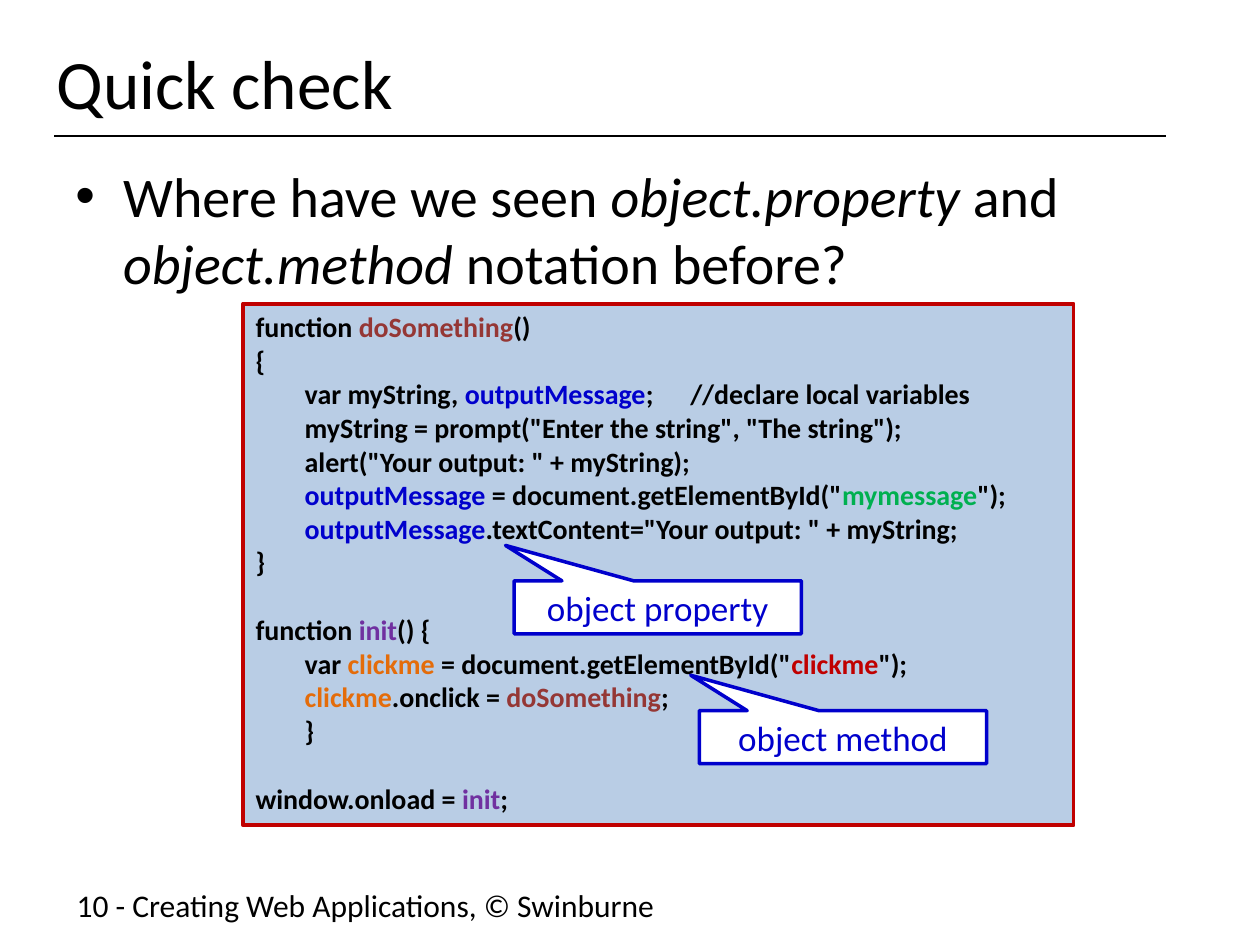
from dataclasses import dataclass

from lxml import etree
from pptx import Presentation
from pptx.dml.color import RGBColor
from pptx.enum.shapes import MSO_CONNECTOR, MSO_SHAPE
from pptx.enum.text import MSO_ANCHOR, PP_ALIGN
from pptx.oxml.ns import qn
from pptx.util import Inches, Pt

RECTANGLE = MSO_SHAPE.RECTANGLE
CALLOUT = MSO_SHAPE.RECTANGULAR_CALLOUT
STRAIGHT = MSO_CONNECTOR.STRAIGHT
TOP, MIDDLE = MSO_ANCHOR.TOP, MSO_ANCHOR.MIDDLE
LEFT, CENTER = PP_ALIGN.LEFT, PP_ALIGN.CENTER

BLACK = RGBColor(0x00, 0x00, 0x00)
WHITE = RGBColor(0xFF, 0xFF, 0xFF)
PANEL_BLUE = RGBColor(0xB9, 0xCD, 0xE5)
RED = RGBColor(0xC0, 0x00, 0x00)
BROWN = RGBColor(0x95, 0x37, 0x35)
BLUE = RGBColor(0x00, 0x00, 0xCC)
GREEN = RGBColor(0x00, 0xB0, 0x50)
PURPLE = RGBColor(0x70, 0x30, 0xA0)
ORANGE = RGBColor(0xE4, 0x6C, 0x0A)

FONT = "Calibri"
CODE_LINE_HEIGHT = Pt(19.5)
CODE_TABS = (0.39, 3.45)


@dataclass(frozen=True)
class Span:
    text: str
    color: RGBColor = BLACK
    italic: bool = False


@dataclass(frozen=True)
class CodeLine:
    spans: tuple[Span, ...]
    gap_before: bool = False


@dataclass(frozen=True)
class Callout:
    label: str
    left: float
    top: float


QUESTION = (
    Span("Where have we seen "),
    Span("object.property", italic=True),
    Span(" and "),
    Span("object.method", italic=True),
    Span(" notation before?"),
)

CODE = (
    CodeLine((Span("function "), Span("doSomething", BROWN), Span("()"))),
    CodeLine((Span("{"),)),
    CodeLine((Span("\tvar myString, "), Span("outputMessage", BLUE),
              Span(";\t//declare local variables"))),
    CodeLine((Span('\tmyString = prompt("Enter the string", "The string");'),)),
    CodeLine((Span('\talert("Your output: " + myString);'),)),
    CodeLine((Span("\toutputMessage ", BLUE), Span('= document.getElementById("'),
              Span("mymessage", GREEN), Span('");'))),
    CodeLine((Span("\toutputMessage", BLUE),
              Span('.textContent="Your output: " + myString;'))),
    CodeLine((Span("}"),)),
    CodeLine((Span("function "), Span("init", PURPLE), Span("() {")), gap_before=True),
    CodeLine((Span("\tvar "), Span("clickme ", ORANGE),
              Span('= document.getElementById("'), Span("clickme", RED), Span('");'))),
    CodeLine((Span("\tclickme", ORANGE), Span(".onclick = "),
              Span("doSomething", BROWN), Span(";"))),
    CodeLine((Span("\t}"),)),
    CodeLine((Span("window.onload = "), Span("init", PURPLE), Span(";")),
             gap_before=True),
)

CALLOUTS = (
    Callout("object property", 4.08, 4.61),
    Callout("object method", 5.55, 5.64),
)


def add_spans(paragraph, spans: tuple[Span, ...], size: float, bold: bool = False) -> None:
    for span in spans:
        run = paragraph.add_run()
        run.text = span.text
        run.font.name = FONT
        run.font.size = Pt(size)
        run.font.bold = bold
        run.font.italic = span.italic
        run.font.color.rgb = span.color


def add_text(slide, left: float, top: float, width: float, height: float,
             spans: tuple[Span, ...], size: float, anchor=TOP):
    """Add a wrapping one-paragraph text box and return its paragraph."""
    box = slide.shapes.add_textbox(Inches(left), Inches(top), Inches(width), Inches(height))
    box.text_frame.word_wrap = True
    box.text_frame.vertical_anchor = anchor
    paragraph = box.text_frame.paragraphs[0]
    add_spans(paragraph, spans, size)
    return paragraph


def set_bullet(paragraph, indent: float) -> None:
    properties = paragraph._p.get_or_add_pPr()
    properties.set("marL", str(Inches(indent)))
    properties.set("indent", str(-Inches(indent)))
    etree.SubElement(properties, qn("a:buFont"), typeface="Arial")
    etree.SubElement(properties, qn("a:buChar"), char="•")


def set_tabs(paragraph, stops: tuple[float, ...]) -> None:
    tab_list = etree.SubElement(paragraph._p.get_or_add_pPr(), qn("a:tabLst"))
    for stop in stops:
        etree.SubElement(tab_list, qn("a:tab"), pos=str(Inches(stop)), algn="l")


def add_panel(slide, preset, left: float, top: float, width: float, height: float,
              fill: RGBColor, outline: RGBColor, line_width: float):
    panel = slide.shapes.add_shape(
        preset, Inches(left), Inches(top), Inches(width), Inches(height))
    panel.shadow.inherit = False
    panel.fill.solid()
    panel.fill.fore_color.rgb = fill
    panel.line.color.rgb = outline
    panel.line.width = Pt(line_width)
    panel.text_frame.word_wrap = True
    return panel


def add_title_rule(slide) -> None:
    rule = slide.shapes.add_connector(
        STRAIGHT, Inches(0.43), Inches(1.08), Inches(9.25), Inches(1.08))
    rule.line.color.rgb = BLACK
    rule.line.width = Pt(0.75)
    etree.SubElement(rule._element.spPr, qn("a:effectLst"))


def add_code(slide) -> None:
    panel = add_panel(slide, RECTANGLE, 1.93, 2.41, 6.59, 4.14, PANEL_BLUE, RED, 2.25)
    frame = panel.text_frame
    frame.vertical_anchor = TOP
    for number, line in enumerate(CODE):
        paragraph = frame.add_paragraph() if number else frame.paragraphs[0]
        paragraph.alignment = LEFT
        if line.gap_before:
            paragraph.space_before = CODE_LINE_HEIGHT
        set_tabs(paragraph, CODE_TABS)
        add_spans(paragraph, line.spans, 16, bold=True)


def add_callout(slide, callout: Callout) -> None:
    shape = add_panel(slide, CALLOUT, callout.left, callout.top, 2.28, 0.42, WHITE, BLUE, 2)
    shape.adjustments[0] = -0.53
    shape.adjustments[1] = -1.17
    frame = shape.text_frame
    frame.vertical_anchor = MIDDLE
    frame.margin_left = frame.margin_right = Inches(0.08)
    frame.margin_top = frame.margin_bottom = Inches(0.04)
    label = frame.paragraphs[0]
    label.alignment = CENTER
    add_spans(label, (Span(callout.label, BLUE),), 20)


def main() -> None:
    presentation = Presentation()
    presentation.slide_width = Inches(10)
    presentation.slide_height = Inches(7.5)
    slide = presentation.slides.add_slide(presentation.slide_layouts[6])

    add_title_rule(slide)
    add_text(slide, 0.51, 6.98, 5.51, 0.39,
             (Span("10 - Creating Web Applications, © Swinburne"),), 18)
    add_text(slide, 0.35, 0.3, 9.15, 0.69, (Span("Quick check"),), 39.6, MIDDLE)
    question = add_text(slide, 0.5, 1.23, 9, 5.47, QUESTION, 32)
    set_bullet(question, 0.38)
    add_code(slide)
    for callout in CALLOUTS:
        add_callout(slide, callout)

    presentation.save("out.pptx")


if __name__ == "__main__":
    main()
